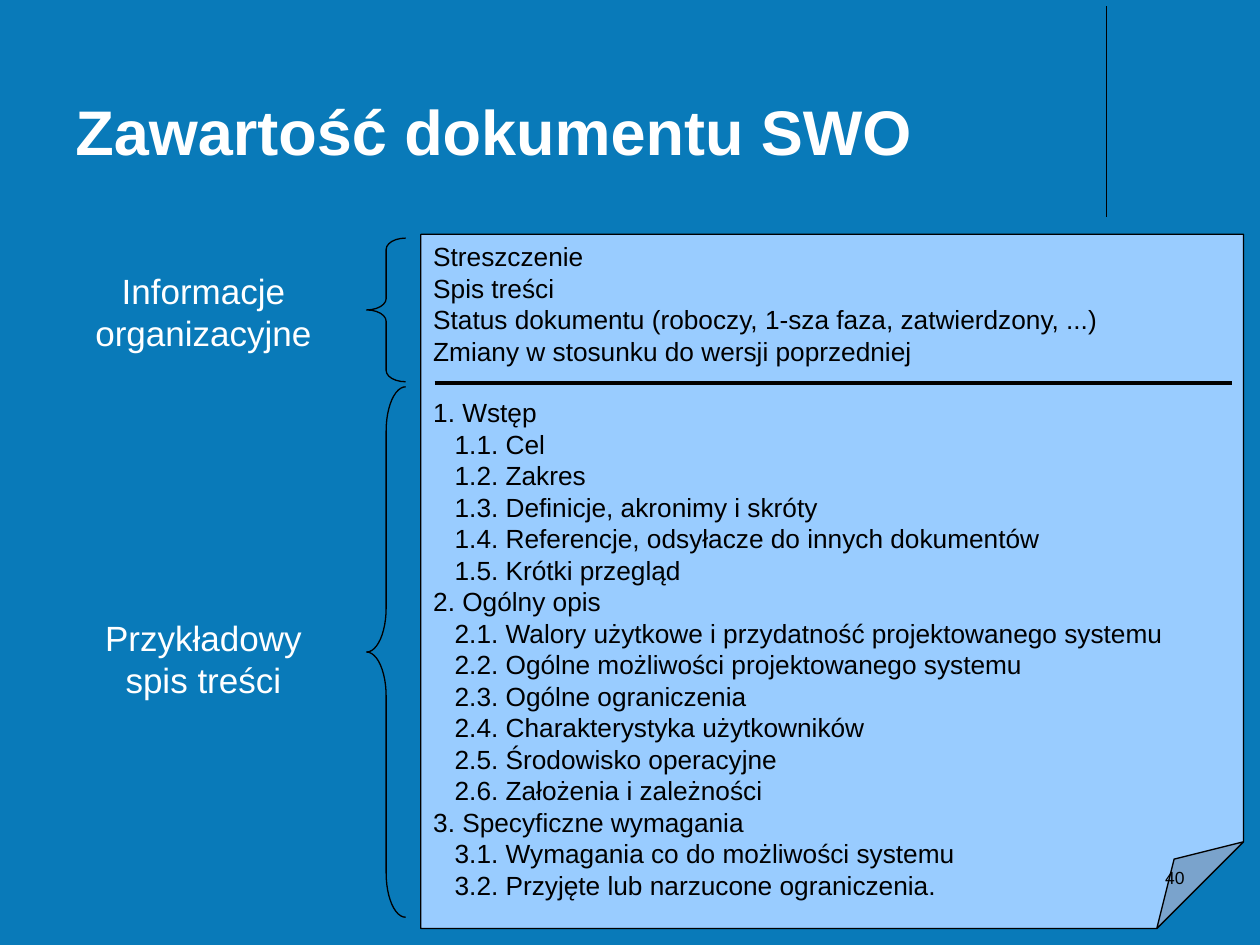
"""Build the slide on the contents of an SWO document."""
from lxml import etree
from pptx import Presentation, util as u
from pptx.dml.color import RGBColor
from pptx.enum import shapes, text
from pptx.oxml.ns import qn

W, H = 10, 7.5
FONT, BLACK, WHITE, BACK, PAGE = "Arial", "000000", "FFFFFF", "097AB9", "99CCFF"
ALIGN = text.PP_ALIGN

TITLE = "Zawartość dokumentu SWO"
NUMBER = "40"
FRONT = [
    "Streszczenie",
    "Spis treści",
    "Status dokumentu (roboczy, 1-sza faza, zatwierdzony, ...)",
    "Zmiany w stosunku do wersji poprzedniej",
]
CHAPTERS = [
    ("Wstęp", ["Cel", "Zakres", "Definicje, akronimy i skróty",
               "Referencje, odsyłacze do innych dokumentów", "Krótki przegląd"]),
    ("Ogólny opis", ["Walory użytkowe i przydatność projektowanego systemu",
                     "Ogólne możliwości projektowanego systemu",
                     "Ogólne ograniczenia", "Charakterystyka użytkowników",
                     "Środowisko operacyjne", "Założenia i zależności"]),
    ("Specyficzne wymagania", ["Wymagania co do możliwości systemu",
                               "Przyjęte lub narzucone ograniczenia."]),
]
GROUPS = [
    ("Informacje\norganizacyjne", 2.09, 1.89, 1.14, 0.09),
    ("Przykładowy\nspis treści", 4.84, 3.07, 4.21, 0.35),
]
LABEL_X, LABEL_W, LABEL_H = 0.31, 2.61, 0.77
BRACE_X, BRACE_W = 2.91, 0.31
SIZE, INDENT, LINE_HEIGHT = 15, 0.17, 1.15


def color(value):
    return RGBColor.from_string(value)


def box(values):
    return [u.Inches(v) for v in values]


def style(tf, size, shade, align=ALIGN.LEFT, bold=False):
    tf.word_wrap = True
    for p in tf.paragraphs:
        p.alignment = align
        for r in p.runs:
            r.font.name, r.font.size, r.font.bold = FONT, u.Pt(size), bold
            r.font.color.rgb = color(shade)


def outline(line, width=0):
    line.color.rgb = color(BLACK)
    line.width = u.Pt(width)


def add_text(s, at, content, size, shade, align=ALIGN.LEFT, bold=False,
             anchor=text.MSO_ANCHOR.TOP):
    tf = s.shapes.add_textbox(*box(at)).text_frame
    tf.text = content
    tf.vertical_anchor = anchor
    style(tf, size, shade, align, bold)


def add_line(s, ends, width=0):
    line = s.shapes.add_connector(shapes.MSO_CONNECTOR.STRAIGHT, *box(ends))
    outline(line.line, width)
    etree.SubElement(line._element.spPr, qn("a:effectLst"))


def add_shape(s, kind, at, guide, adjust, fill=None):
    sp = s.shapes.add_shape(kind, *box(at))
    sp.shadow.inherit = False
    geometry = sp._element.spPr.find(qn("a:prstGeom"))
    for old in geometry.findall(qn("a:avLst")):
        geometry.remove(old)
    guides = etree.SubElement(geometry, qn("a:avLst"))
    etree.SubElement(guides, qn("a:gd"), name=guide, fmla=f"val {round(adjust * 100000)}")
    if fill:
        sp.fill.solid()
        sp.fill.fore_color.rgb = color(fill)
    else:
        sp.fill.background()
    outline(sp.line)
    return sp


def add_page(s):
    sp = add_shape(s, shapes.MSO_SHAPE.FOLDED_CORNER, (3.34, 1.86, 6.53, 5.51),
                   "adj", 0.125, PAGE)
    rows = [(line, 0) for line in FRONT]
    for i, (chapter, sections) in enumerate(CHAPTERS, 1):
        rows.append((f"{i}. {chapter}", 0))
        rows += [(f"{i}.{j}. {name}", INDENT) for j, name in enumerate(sections, 1)]
    tf = sp.text_frame
    tf.text = "\n".join(line for line, _ in rows)
    tf.vertical_anchor = text.MSO_ANCHOR.TOP
    style(tf, SIZE, BLACK)
    for p, (_, indent) in zip(tf.paragraphs, rows):
        p._p.get_or_add_pPr().set("marL", str(u.Inches(indent)))
    tf.paragraphs[len(FRONT)].space_before = u.Pt(SIZE * LINE_HEIGHT)


def main():
    prs = Presentation()
    prs.slide_width, prs.slide_height = box((W, H))
    s = prs.slides.add_slide(prs.slide_layouts[6])
    s.background.fill.solid()
    s.background.fill.fore_color.rgb = color(BACK)

    add_line(s, (8.78, 0.05, 8.78, 1.72), 0.75)
    add_text(s, (0.5, 0.03, 8.25, 1.35), TITLE, 36, WHITE, bold=True,
             anchor=text.MSO_ANCHOR.BOTTOM)
    add_page(s)
    add_line(s, (3.45, 3.04, 9.78, 3.04))
    for label, label_y, brace_y, brace_h, curve in GROUPS:
        add_shape(s, shapes.MSO_SHAPE.LEFT_BRACE,
                  (BRACE_X, brace_y, BRACE_W, brace_h), "adj1", curve / BRACE_W)
        add_text(s, (LABEL_X, label_y, LABEL_W, LABEL_H), label, 20, WHITE, ALIGN.CENTER)
    add_text(s, (7.17, 6.83, 2.33, 0.5), NUMBER, 10, BLACK, ALIGN.RIGHT)
    prs.save("out.pptx")


if __name__ == "__main__":
    main()
